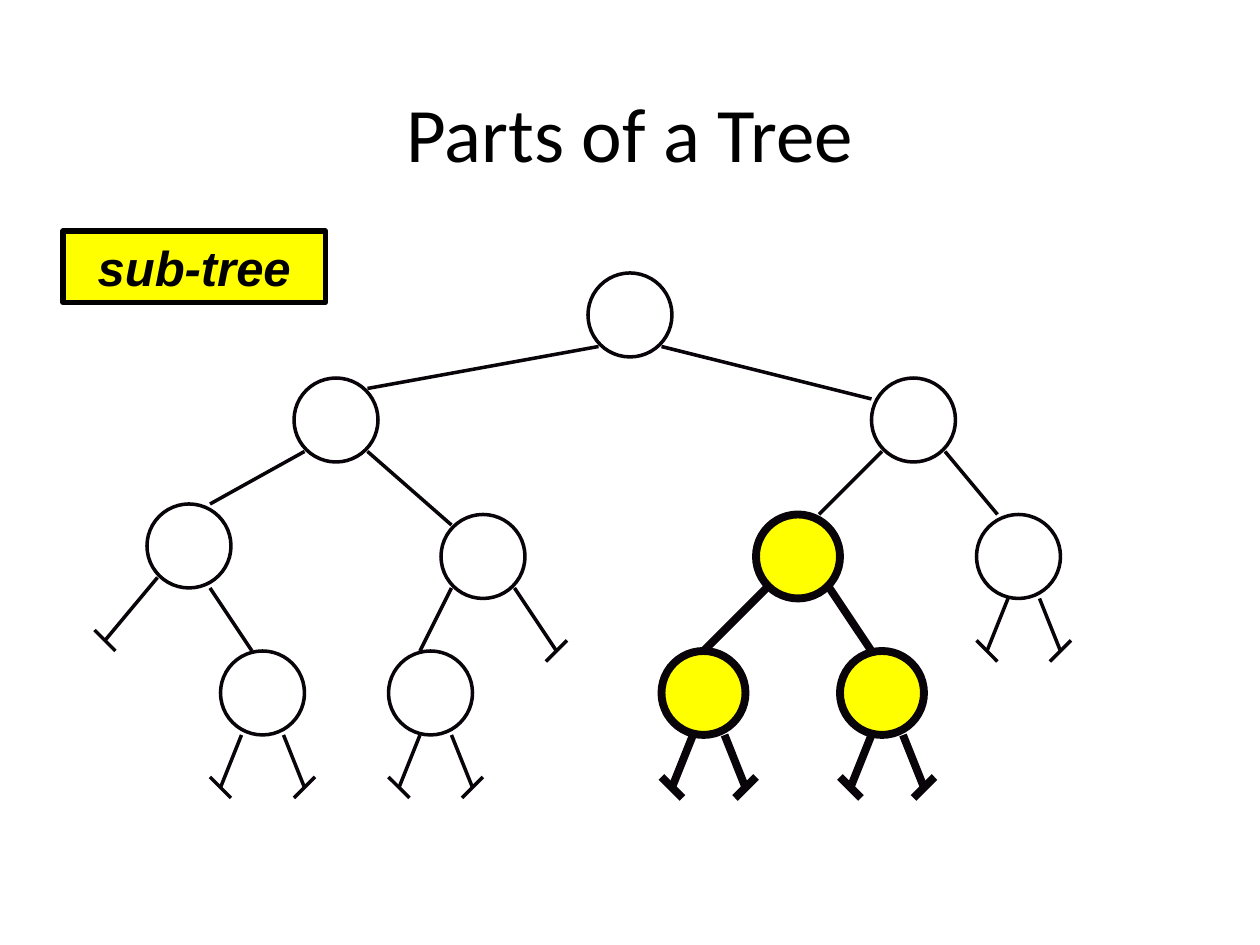
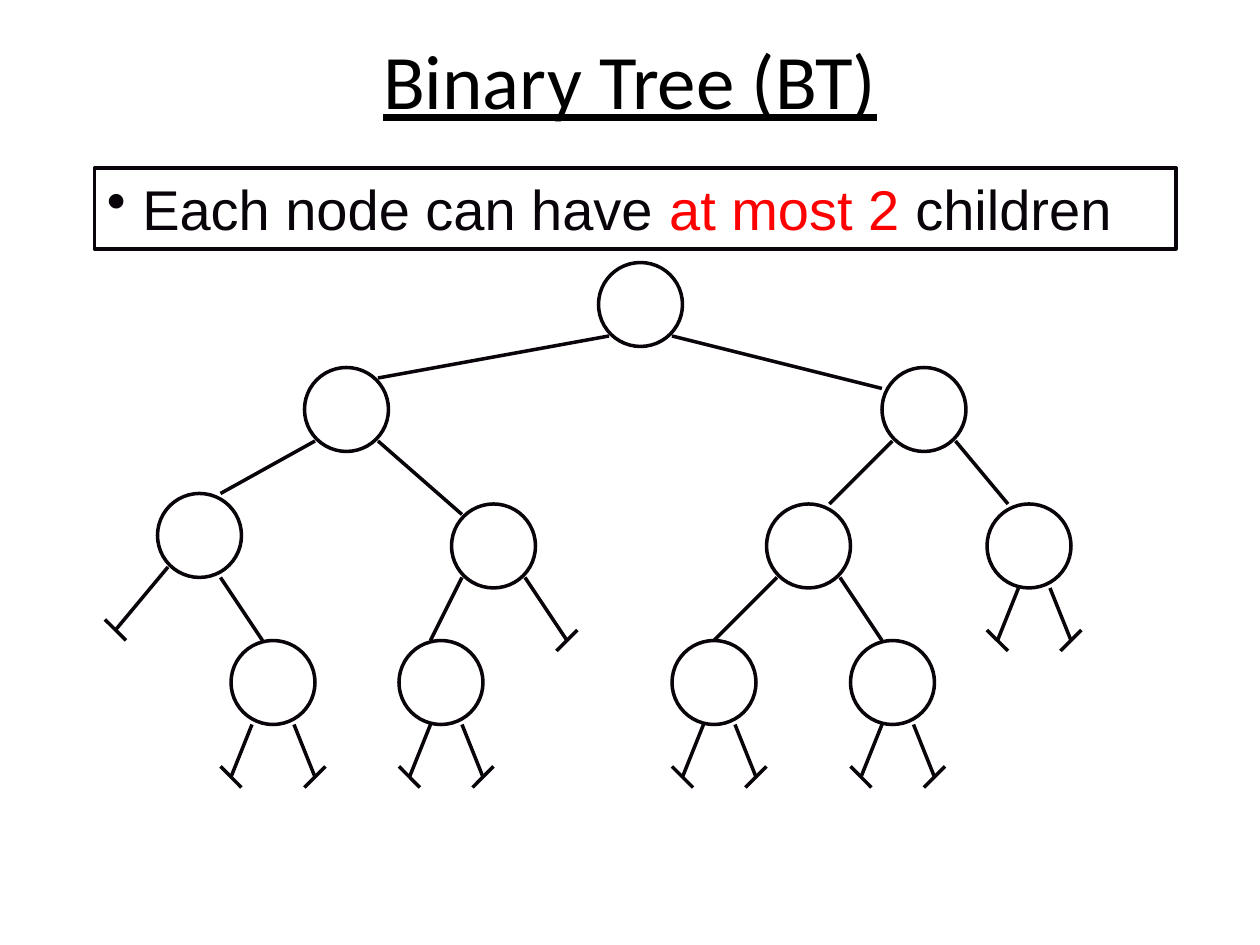
from dataclasses import dataclass
from typing import Optional

from lxml.etree import SubElement
from pptx import Presentation
from pptx.dml.color import RGBColor
from pptx.enum.shapes import MSO_CONNECTOR, MSO_SHAPE
from pptx.enum.text import MSO_ANCHOR, MSO_AUTO_SIZE, PP_ALIGN
from pptx.oxml.ns import qn
from pptx.util import Inches, Pt

COLS, ROWS = 120, 90
NODE_SIZE = 8
INNER_EXITS = ((1, 7), (7, 7))
LEAF_EXITS = ((3, 8), (6, 8))


def rgb(value):
    return RGBColor.from_string(value)


@dataclass
class Node:
    col: int
    row: int
    entry: tuple = (0, 0)
    left: Optional["Node"] = None
    right: Optional["Node"] = None
    exits: tuple = INNER_EXITS
    stub: tuple = (5, 6)
    marked: bool = False


def leaf(col, row, entry, exits=LEAF_EXITS, marked=False):
    return Node(col, row, entry, exits=exits, stub=(2, 5), marked=marked)


def sample_tree():
    left = Node(28, 36, (7, 1),
                Node(14, 48, (6, 0), None, leaf(21, 62, (3, 0), ((2, 8), (6, 8))),
                     exits=((1, 7), (6, 8))),
                Node(42, 49, (1, 1), leaf(37, 62, (3, 0)), stub=(4, 6)))
    sub_tree = Node(72, 49, (6, 0), leaf(63, 62, (4, 0), marked=True),
                    leaf(80, 62, (3, 0), marked=True), marked=True)
    right = Node(83, 36, (0, 2), sub_tree, leaf(93, 49, (2, 0)))
    return Node(56, 26, left=left, right=right)


class Deck:
    ink, black, red, yellow = "090409", "000000", "FF0000", "FFFF00"
    title_font, body_font = "Calibri", "Arial"
    thin, thick = 2, 4.5

    def __init__(self):
        self.prs = Presentation()
        self.prs.slide_width, self.prs.slide_height = Inches(10), Inches(7.5)
        self.s = None

    def x(self, cols):
        return round(self.prs.slide_width * cols / COLS)

    def y(self, rows):
        return round(self.prs.slide_height * rows / ROWS)

    def box(self, col, row, width, height):
        return self.x(col), self.y(row), self.x(width), self.y(height)

    def run(self, p, text, font, size, color, **styles):
        r = p.add_run()
        r.text = text
        r.font.name, r.font.size = font, Pt(size)
        r.font.color.rgb = rgb(color)
        for name, value in styles.items():
            setattr(r.font, name, value)

    def slide(self, title, row, underline=False):
        self.s = self.prs.slides.add_slide(self.prs.slide_layouts[5])
        sp = self.s.shapes.title
        sp.left, sp.top, sp.width, sp.height = self.box(9, row, 102, 15)
        tf = sp.text_frame
        tf.vertical_anchor = MSO_ANCHOR.MIDDLE
        p = tf.paragraphs[0]
        p.alignment = PP_ALIGN.CENTER
        self.run(p, title, self.title_font, 44, self.black, underline=underline)

    def shape(self, kind, box, fill, line, weight):
        sp = self.s.shapes.add_shape(kind, *self.box(*box))
        sp.shadow.inherit = False
        if fill:
            sp.fill.solid()
            sp.fill.fore_color.rgb = rgb(fill)
        else:
            sp.fill.background()
        sp.line.color.rgb = rgb(line)
        sp.line.width = Pt(weight)
        return sp

    def label(self, box, fill, line, weight, align, space_before):
        sp = self.shape(MSO_SHAPE.RECTANGLE, box, fill, line, weight)
        tf = sp.text_frame
        tf.word_wrap = True
        tf.auto_size = MSO_AUTO_SIZE.SHAPE_TO_FIT_TEXT
        tf.vertical_anchor = MSO_ANCHOR.TOP
        p = tf.paragraphs[0]
        p.alignment, p.space_before = align, Pt(space_before)
        return p

    def bullet(self, p, color):
        pPr = p._p.get_or_add_pPr()
        clr = SubElement(pPr, qn("a:buClr"))
        SubElement(clr, qn("a:srgbClr")).set("val", color)
        SubElement(pPr, qn("a:buChar")).set("char", "•")

    def line(self, start, end, weight):
        c = self.s.shapes.add_connector(
            MSO_CONNECTOR.STRAIGHT, self.x(start[0]), self.y(start[1]),
            self.x(end[0]), self.y(end[1]))
        c.line.color.rgb = rgb(self.ink)
        c.line.width = Pt(weight)
        SubElement(c._element.spPr, qn("a:effectLst"))

    def tree(self, node, dx=0, dy=0, highlight=False):
        col, row = node.col + dx, node.row + dy
        marked = highlight and node.marked
        weight = self.thick if marked else self.thin
        self.shape(MSO_SHAPE.OVAL, (col, row, NODE_SIZE, NODE_SIZE),
                   self.yellow if marked else None, self.ink, weight)
        for side, child, leave in zip((-1, 1), (node.left, node.right), node.exits):
            start = col + leave[0], row + leave[1]
            if child:
                end = child.col + child.entry[0] + dx, child.row + child.entry[1] + dy
                self.line(start, end, weight)
                self.tree(child, dx, dy, highlight)
            else:
                end = start[0] + side * node.stub[0], start[1] + node.stub[1]
                self.line(start, end, weight)
                self.line((end[0] - 1, end[1] + side), (end[0] + 1, end[1] - side), weight)


def main():
    deck = Deck()
    tree = sample_tree()

    deck.slide("Parts of a Tree", 5)
    deck.tree(tree, highlight=True)
    p = deck.label((6, 22, 25, 6.8), deck.yellow, deck.black, 3, PP_ALIGN.CENTER, 17.5)
    deck.run(p, "sub-tree", deck.body_font, 28, deck.black, bold=True, italic=True)

    deck.slide("Binary Tree (BT)", 0, underline=True)
    deck.tree(tree, dx=1, dy=-1)
    p = deck.label((9, 16, 103, 7.7), None, deck.ink, deck.thin, PP_ALIGN.LEFT, 20)
    deck.bullet(p, deck.ink)
    for text, color in ((" Each node can have ", deck.ink), ("at most 2 ", deck.red),
                        ("children", deck.ink)):
        deck.run(p, text, deck.body_font, 32, color)

    deck.prs.save("out.pptx")


if __name__ == "__main__":
    main()
